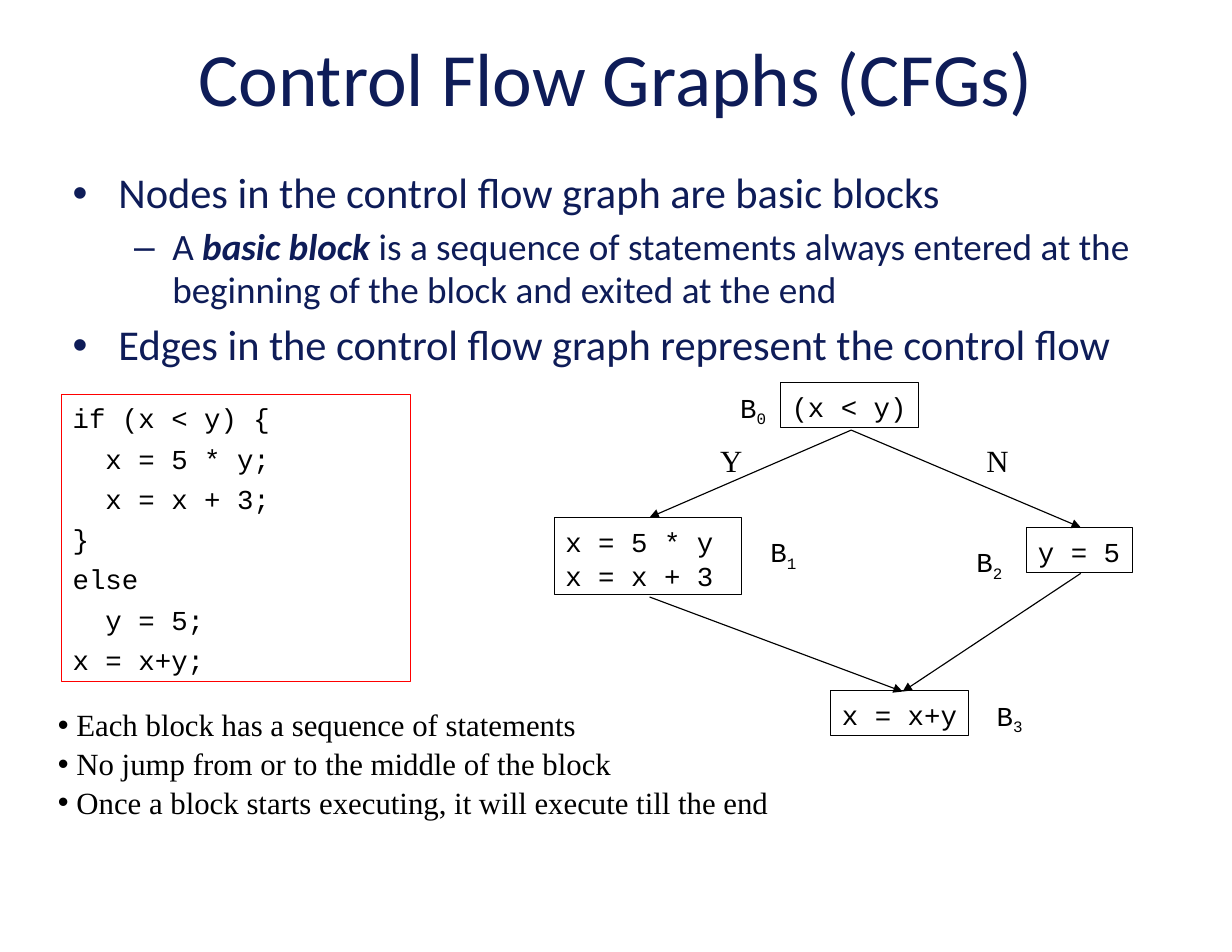
from lxml import etree
from pptx import Presentation
from pptx import util as u
from pptx.dml.color import RGBColor
from pptx.enum import shapes, text
from pptx.oxml.ns import qn

COLORS = {"navy": "0E1C58", "black": "000000", "red": "FF0000"}
CODE = {"name": "Courier New", "size": u.Pt(17.6)}
PROSE = {"name": "Times New Roman", "size": u.Pt(19.8)}
HEAD = {"name": "Calibri", "size": u.Pt(48.4)}
ITEM = {"name": "Calibri", "size": u.Pt(27.3)}
SUB = {"name": "Calibri", "size": u.Pt(23.9)}


def paint(color, key):
    color.rgb = RGBColor.from_string(COLORS[key])


def add_run(para, words, form, key="black", **more):
    run = para.add_run()
    run.text = words
    for name, value in {**form, **more}.items():
        setattr(run.font, name, value)
    paint(run.font.color, key)
    return run


def indent(para, left, hang, mark=None):
    props = para._p.get_or_add_pPr()
    props.set("marL", str(u.Pt(left)))
    props.set("indent", str(-u.Pt(hang)))
    if mark:
        etree.SubElement(props, qn("a:buFont"), typeface="Arial")
        etree.SubElement(props, qn("a:buChar"), char=mark)


def add_paras(frame, count, **form):
    for _ in range(count - 1):
        frame.add_paragraph()
    for para in frame.paragraphs:
        for name, value in form.items():
            setattr(para, name, value)
    return frame.paragraphs


def add_text(slide, box, wrap=False):
    frame = slide.shapes.add_textbox(*map(u.Pt, box)).text_frame
    frame.word_wrap = wrap
    return frame


def add_box(slide, box, lines, edge="black", wrap=False, **form):
    rect = slide.shapes.add_shape(shapes.MSO_SHAPE.RECTANGLE, *map(u.Pt, box))
    rect.shadow.inherit = False
    rect.fill.background()
    paint(rect.line.color, edge)
    rect.line.width = u.Pt(0.75)
    frame = rect.text_frame
    frame.word_wrap = wrap
    frame.vertical_anchor = text.MSO_ANCHOR.TOP
    paras = add_paras(frame, len(lines), alignment=text.PP_ALIGN.LEFT,
                      line_spacing=1.06, **form)
    for para, line in zip(paras, lines):
        add_run(para, line, CODE)
    return paras


def add_tag(slide, num, left, top):
    para = add_text(slide, (left, top, 32.4, 28.8)).paragraphs[0]
    para.line_spacing = 1.06
    add_run(para, "B", CODE)
    low = add_run(para, str(num), CODE)
    low.font._element.set("baseline", "-25000")


def add_arrow(slide, start, end):
    line = slide.shapes.add_connector(
        shapes.MSO_CONNECTOR.STRAIGHT, *map(u.Pt, start + end))
    paint(line.line.color, "black")
    line.line.width = u.Pt(0.75)
    etree.SubElement(line.line._get_or_add_ln(), qn("a:tailEnd"),
                     type="triangle")
    etree.SubElement(line._element.spPr, qn("a:effectLst"))


def add_title(slide, words):
    title = slide.shapes.title
    for name, value in zip(("left", "top", "width", "height"),
                           (39.6, 14.4, 712.8, 69.8)):
        setattr(title, name, u.Pt(value))
    title.text_frame.vertical_anchor = text.MSO_ANCHOR.MIDDLE
    para = title.text_frame.paragraphs[0]
    para.alignment = text.PP_ALIGN.CENTER
    add_run(para, words, HEAD, "navy")


def add_body(slide):
    frame = add_text(slide, (39.6, 105.1, 712.8, 118.1), True)
    first, sub, last = add_paras(frame, 3, line_spacing=0.97)
    for para, words in (
            (first, "Nodes in the control flow graph are basic blocks"),
            (last, "Edges in the control flow graph represent the control flow")):
        para.space_before = u.Pt(5.5)
        indent(para, 29.5, 29.5, "•")
        add_run(para, words, ITEM, "navy")
    sub.space_before = u.Pt(4.8)
    indent(sub, 64.1, 24.5, "–")
    add_run(sub, "A ", SUB, "navy")
    add_run(sub, "basic block", SUB, "navy", bold=True, italic=True)
    add_run(sub, " is a sequence of statements always entered at the "
            "beginning of the block and exited at the end", SUB, "navy")


def add_graph(slide):
    # Blocks: box, lines, tag position
    blocks = [
        ((501.8, 246.2, 88.6, 28.8), ["(x < y)"], (468.7, 246.2)),
        ((356.4, 332.6, 120.2, 49.7), ["x = 5 * y", "x = x + 3"], (488.2, 339.1)),
        ((660.2, 339.1, 67.7, 28.8), ["y = 5"], (620.6, 345.6)),
        ((534.2, 444.2, 88.6, 28.8), ["x = x+y"], (633.6, 444.2)),
    ]
    for num, (box, lines, tag) in enumerate(blocks):
        add_box(slide, box, lines)
        add_tag(slide, num, *tag)
    # Branch labels
    for word, left in (("Y", 455.8), ("N", 627.1)):
        para = add_text(slide, (left, 279.4, 28.8, 31)).paragraphs[0]
        para.line_spacing = 1.05
        add_run(para, word, PROSE)
    # Edges
    fork, join = (547.2, 276.5), (580.3, 444.6)
    for x, top, low in ((417.6, 332.6, 383.8), (694.8, 339.1, 368.6)):
        add_arrow(slide, fork, (x, top))
        add_arrow(slide, (x, low), join)


def main():
    deck = Presentation()
    deck.slide_width, deck.slide_height = u.Pt(792), u.Pt(612)
    slide = deck.slides.add_slide(deck.slide_layouts[5])
    add_title(slide, "Control Flow Graphs (CFGs)")
    add_body(slide)
    # Source listing
    code = ["if (x < y) {", "  x = 5 * y;", "  x = x + 3;", "}", "else",
            "  y = 5;", "x = x+y;"]
    for para in add_box(slide, (39.6, 253.4, 224.6, 185), code, "red", True,
                        space_before=u.Pt(3.5)):
        indent(para, 29.5, 29.5)
    add_graph(slide)
    # Notes on blocks
    notes = ["Each block has a sequence of statements",
             "No jump from or to the middle of the block",
             "Once a block starts executing, it will execute till the end"]
    frame = add_text(slide, (30.2, 449.3, 475.2, 79.2))
    for para, note in zip(add_paras(frame, 3, line_spacing=1.05), notes):
        indent(para, 0, 0, "•")
        add_run(para, " " + note, PROSE)
    deck.save("out.pptx")


if __name__ == "__main__":
    main()
